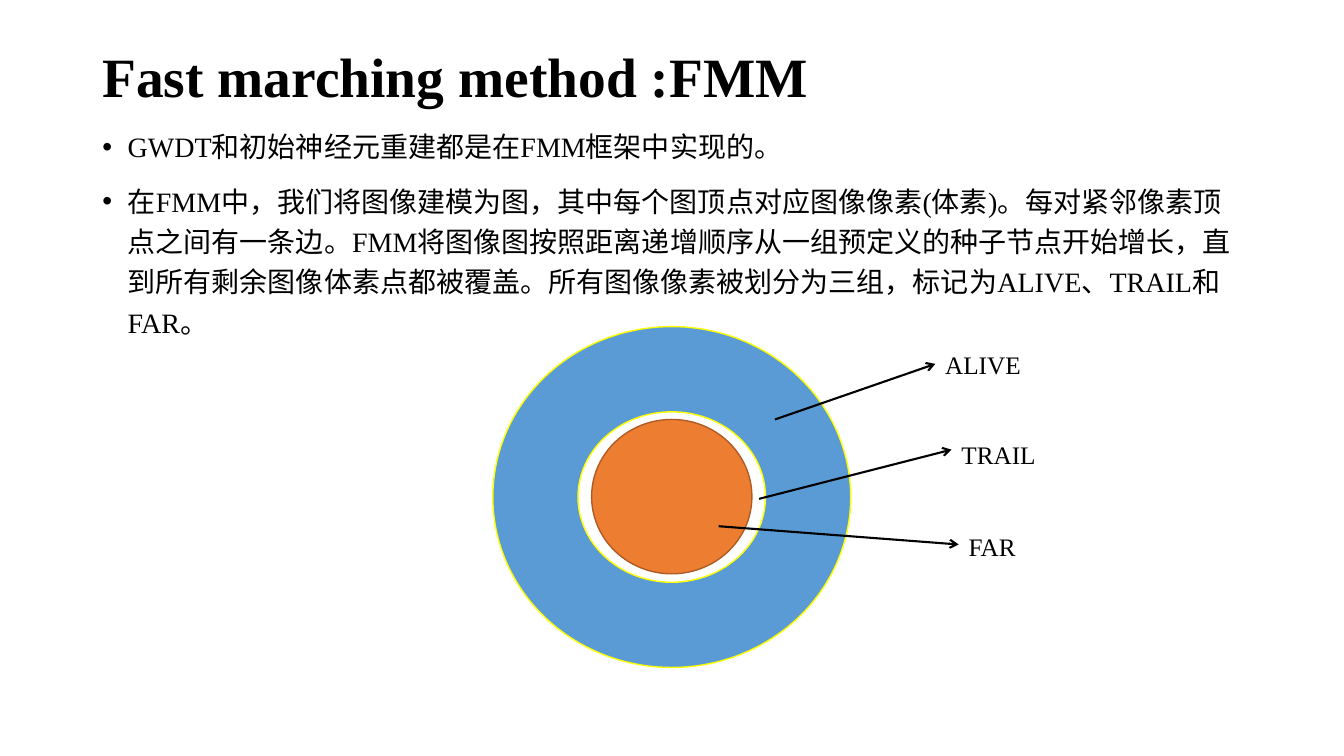
"""Build the fast marching method slide with its ring diagram."""
from lxml import etree
from pptx import Presentation
from pptx.dml.color import RGBColor
from pptx.enum.shapes import MSO_CONNECTOR, MSO_SHAPE
from pptx.enum.text import MSO_ANCHOR
from pptx.oxml.ns import qn
from pptx.util import Cm, Pt

STRAIGHT = MSO_CONNECTOR.STRAIGHT
DONUT, OVAL = MSO_SHAPE.DONUT, MSO_SHAPE.OVAL
TOP, MIDDLE = MSO_ANCHOR.TOP, MSO_ANCHOR.MIDDLE
FONT = "Times New Roman"
COLORS = {
    "text": "000000",
    "ring": "5B9BD5",
    "ring_line": "FFFF00",
    "core": "ED7D31",
    "core_line": "AF5C24",
}


def color(name):
    return RGBColor.from_string(COLORS[name])


def add_text(slide, box, texts, size, bold=False, anchor=TOP, spacing=1.0, bulleted=False):
    frame = slide.shapes.add_textbox(*map(Cm, box)).text_frame
    frame.word_wrap = True
    frame.vertical_anchor = anchor
    for index, text in enumerate(texts):
        paragraph = frame.add_paragraph() if index else frame.paragraphs[0]
        if bulleted:
            properties = paragraph._p.get_or_add_pPr()
            properties.set("marL", str(Cm(0.64)))
            properties.set("indent", str(-Cm(0.64)))
            etree.SubElement(properties, qn("a:buFont"), typeface="Arial")
            etree.SubElement(properties, qn("a:buChar"), char="•")
        paragraph.line_spacing = spacing
        if index:
            paragraph.space_before = Pt(10)
        run = paragraph.add_run()
        run.text = text
        run.font.name = FONT
        run.font.size = Pt(size)
        run.font.bold = bold
        run.font.color.rgb = color("text")


presentation = Presentation()
presentation.slide_width = Cm(33.87)
presentation.slide_height = Cm(19.05)
slide = presentation.slides.add_slide(presentation.slide_layouts[6])

add_text(slide, (2.33, 1.02, 29.21, 1.96), ["Fast marching method :FMM"], 39.6,
         bold=True, anchor=MIDDLE, spacing=0.9)
body = [
    "GWDT和初始神经元重建都是在FMM框架中实现的。",
    "在FMM中，我们将图像建模为图，其中每个图顶点对应图像像素(体素)。"
    "每对紧邻像素顶点之间有一条边。FMM将图像图按照距离递增顺序从一组预定义的种子节点开始增长，"
    "直到所有剩余图像体素点都被覆盖。所有图像像素被划分为三组，标记为ALIVE、TRAIL和FAR。",
]
add_text(slide, (2.33, 2.98, 29.21, 14.17), body, 20, spacing=1.2, bulleted=True)

regions = [
    (DONUT, (12.42, 8.23, 9.02, 8.59), "ring"),
    (OVAL, (14.91, 10.57, 4.04, 3.89), "core"),
]
for kind, box, name in regions:
    shape = slide.shapes.add_shape(kind, *map(Cm, box))
    shape.shadow.inherit = False
    shape.fill.solid()
    shape.fill.fore_color.rgb = color(name)
    shape.line.color.rgb = color(f"{name}_line")
    shape.line.width = Pt(1)

callouts = [
    ("ALIVE", (19.53, 10.57), (23.57, 9.17), 8.69, 2.46),
    ("TRAIL", (19.13, 12.57), (23.98, 11.33), 10.95, 2.82),
    ("FAR", (18.11, 13.26), (24.16, 13.72), 13.26, 2.18),
]
for label, start, end, label_top, label_width in callouts:
    arrow = slide.shapes.add_connector(STRAIGHT, *map(Cm, start + end))
    arrow.line.color.rgb = color("text")
    arrow.line.width = Pt(1.5)
    etree.SubElement(arrow.line._get_or_add_ln(), qn("a:tailEnd"), type="arrow")
    etree.SubElement(arrow._element.spPr, qn("a:effectLst"))
    add_text(slide, (end[0], label_top, label_width, 1.02), [label], 18)

presentation.save("out.pptx")
